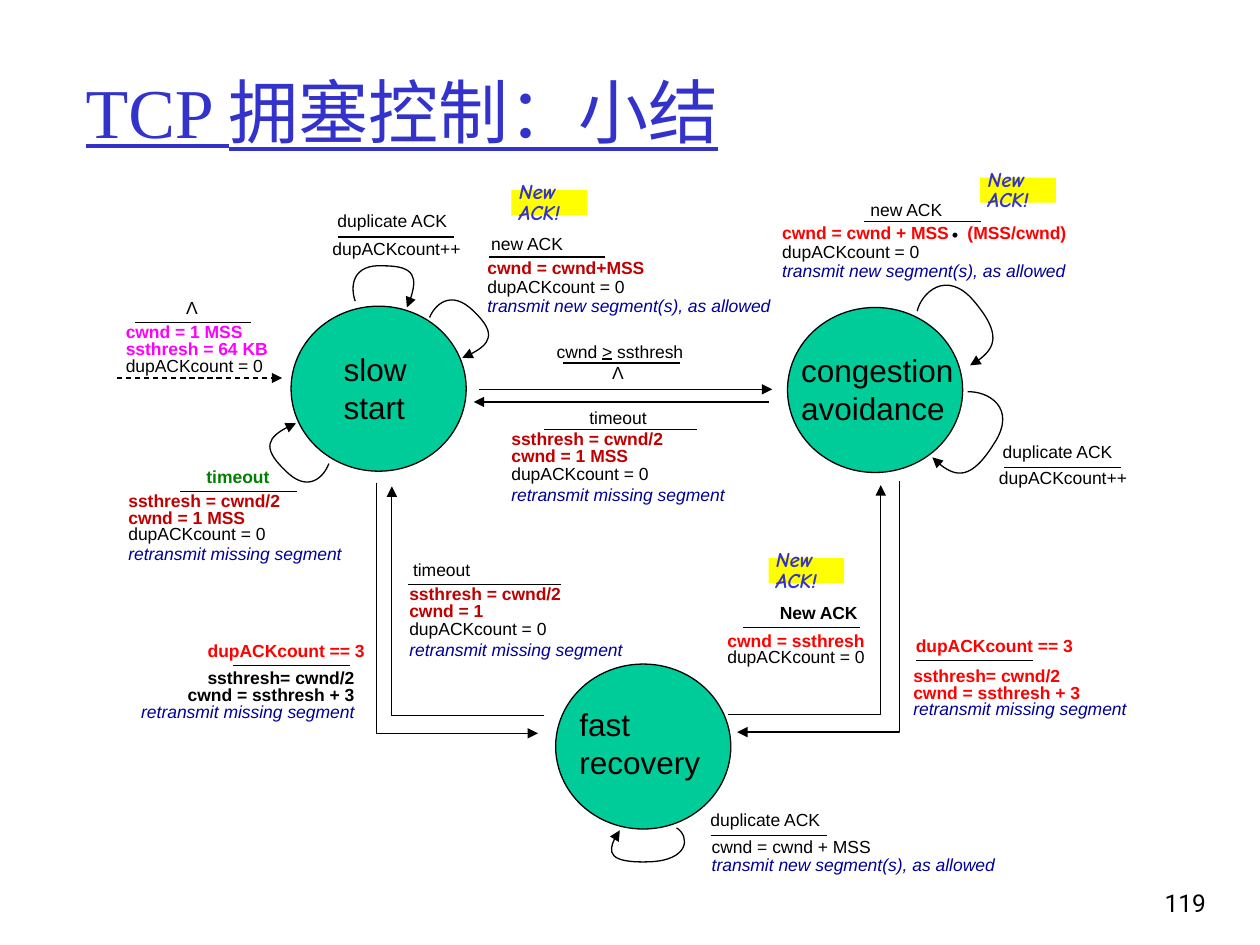
from pptx import Presentation
from pptx import util as u
from pptx.dml.color import RGBColor
from pptx.enum import dml, shapes, text
from pptx.oxml.xmlchemy import OxmlElement

BLACK = RGBColor(0, 0, 0)
RED = RGBColor(255, 0, 0)
DARK_RED = RGBColor(192, 0, 0)
NAVY = RGBColor(0, 0, 153)
BLUE = RGBColor(51, 51, 204)
GREEN = RGBColor(0, 128, 0)
TEAL = RGBColor(0, 204, 153)
MAGENTA = RGBColor(255, 0, 255)
YELLOW = RGBColor(255, 255, 0)

CELL = u.Inches(0.1)
STATE_SIZE = (13.9, 13.1)
SHORT_RULE, LONG_RULE = 9.25, 12.1
LEFT, RIGHT = text.PP_ALIGN.LEFT, text.PP_ALIGN.RIGHT

BODY = {"name": "Arial", "size": u.Pt(10), "bold": False, "italic": False}
STRONG = {**BODY, "bold": True}
SLANTED = {**BODY, "italic": True}
STATE = {**BODY, "size": u.Pt(18)}
DOT = {"name": "Times New Roman", "size": u.Pt(24)}
BADGE = {"name": "Comic Neue", "size": u.Pt(12), "bold": True, "italic": True}
NUMBER = {"name": "Roboto", "size": u.Pt(14)}
TITLE = {"name": "Times New Roman", "size": u.Pt(40), "underline": True}

RESET = ("dupACKcount = 0", BODY, BLACK)
TRANSMIT = ("transmit new segment(s), as allowed", SLANTED, NAVY)
RETRANSMIT = ("retransmit missing segment", SLANTED, NAVY)
HALVE = ("ssthresh = cwnd/2", STRONG, DARK_RED)
RESTART = ("cwnd = 1 MSS", STRONG, DARK_RED)
DUPLICATE = ("duplicate ACK", BODY, BLACK)
COUNT = ("dupACKcount++", BODY, BLACK)
NEW_ACK = ("new ACK", BODY, BLACK)
TIMEOUT = ("timeout", BODY, BLACK)
LAMBDA = ("Λ", BODY, BLACK)
TRIPLE = ("dupACKcount == 3", STRONG, RED)


def cells(*values):
    return [round(value * CELL) for value in values]


def shift(box, spot):
    return cells(box[0] + spot[0], box[1] + spot[1])


def format_font(font, style, colour):
    for key, value in style.items():
        setattr(font, key, value)
    font.color.rgb = colour


def add_label(page, box, spot, lines, spacing=None, align=LEFT, wrap=False, last_gap=0):
    frame = page.shapes.add_textbox(*shift(box, spot), *cells(*spot[2:])).text_frame
    frame.word_wrap = wrap
    for index, (words, style, colour) in enumerate(lines):
        para = frame.paragraphs[0] if index == 0 else frame.add_paragraph()
        para.alignment = align
        if spacing:
            para.line_spacing = spacing
        if last_gap and index == len(lines) - 1:
            para.space_before = u.Pt(last_gap)
        span = para.add_run()
        span.text = words
        format_font(span.font, style, colour)
    return frame


def style_line(item, arrow):
    item.line.color.rgb = BLACK
    item.line.width = u.Pt(0.75)
    if arrow:
        tail = OxmlElement("a:tailEnd")
        tail.set("type", "triangle")
        item._element.xpath(".//a:ln")[0].append(tail)


def add_line(page, box, start, end, arrow=False, dashed=False):
    line = page.shapes.add_connector(
        shapes.MSO_CONNECTOR.STRAIGHT, *shift(box, start), *shift(box, end))
    if dashed:
        line.line.dash_style = dml.MSO_LINE.DASH
    style_line(line, arrow)
    line._element.spPr.append(OxmlElement("a:effectLst"))


def add_rule(page, box, spot, length=SHORT_RULE):
    add_line(page, box, spot, (spot[0] + length, spot[1]))


def add_route(page, box, points, curved=False):
    start, *rest = [shift(box, point) for point in points]
    builder = page.shapes.build_freeform(*start)
    builder.add_line_segments(rest, close=False)
    route = builder.convert_to_shape()
    route.fill.background()
    route.shadow.inherit = False
    style_line(route, True)
    if curved:
        segments = route._element.xpath(".//a:lnTo")
        for first in range(0, len(segments), 3):
            curve = OxmlElement("a:cubicBezTo")
            segments[first].addprevious(curve)
            for segment in segments[first:first + 3]:
                curve.append(segment[0])
                segment.getparent().remove(segment)


def add_filled(page, box, kind, spot, size, colour):
    item = page.shapes.add_shape(kind, *shift(box, spot), *cells(*size))
    item.shadow.inherit = False
    item.fill.solid()
    item.fill.fore_color.rgb = colour
    return item


def add_state(page, box, spot, name_spot, names):
    circle = add_filled(page, box, shapes.MSO_SHAPE.OVAL, spot, STATE_SIZE, TEAL)
    style_line(circle, False)
    add_label(page, box, name_spot, [(name, STATE, BLACK) for name in names])


def add_transition(page, box, condition, condition_spot, rule, actions, actions_spot,
                   spacing=0.8, length=SHORT_RULE, **options):
    add_label(page, box, condition_spot, [condition])
    add_rule(page, box, rule, length)
    return add_label(page, box, actions_spot, actions, spacing, **options)


def draw_slow_start(page, box):
    add_state(page, box, (14.1, 10.3), (17.3, 13.3, 7.7, 7), ["slow", "start"])
    add_transition(page, box, ("timeout", STRONG, GREEN), (6.4, 22.5, 7.4, 2.7), (5.3, 25),
                   [HALVE, RESTART, RESET, RETRANSMIT], (0.2, 24.7, 18.9, 6.6), last_gap=1.5)
    add_transition(page, box, NEW_ACK, (29, 4, 7.8, 2.7), (29.8, 6.4),
                   [("cwnd = cwnd+MSS", STRONG, DARK_RED), RESET, TRANSMIT],
                   (28.7, 6.1, 24.7, 7.2), 0.9)
    add_transition(page, box, DUPLICATE, (16.8, 2.2, 10.8, 2.7), (17.8, 4.8),
                   [COUNT], (16.4, 4.7, 12.2, 3.9))
    add_transition(page, box, LAMBDA, (4.8, 9.1, 3, 2.7), (1.7, 11.6),
                   [("cwnd = 1 MSS", STRONG, MAGENTA), ("ssthresh = 64 KB", STRONG, MAGENTA),
                    RESET], (0, 11.3, 13.4, 5.1))
    add_line(page, box, (0.3, 16), (13.4, 16), arrow=True, dashed=True)
    for loop in (
        [(19.2, 9.9), (18.8, 8.8), (18.9, 6.9), (21.5, 7.1), (24, 7.1), (24.2, 8.4), (23.3, 10.4)],
        [(25.1, 11.2), (25.5, 10.2), (26.8, 8.9), (28.6, 10.7), (30.5, 12.5), (29.7, 13.6),
         (27.7, 14.4)],
        [(17.1, 22.8), (16.7, 23.9), (15.4, 25.2), (13.6, 23.3), (11.7, 21.5), (12.5, 20.4),
         (14.5, 19.6)],
    ):
        add_route(page, box, loop, curved=True)


def draw_congestion_avoidance(page, box):
    add_state(page, box, (1.5, 9.4), (1.6, 12.4, 14.1, 10), ["congestion", "avoidance"])
    frame = add_transition(page, box, NEW_ACK, (7.1, 0.3, 7.8, 2.7), (7.6, 2.6),
                           [("cwnd = cwnd + MSS\t(MSS/cwnd)", STRONG, RED), RESET, TRANSMIT],
                           (0.1, 2.3, 24.9, 7.2), 0.9)
    stops, stop = OxmlElement("a:tabLst"), OxmlElement("a:tab")
    stop.set("pos", str(u.Inches(1.47)))
    stop.set("algn", "l")
    stops.append(stop)
    frame.paragraphs[0]._p.get_or_add_pPr().append(stops)
    add_label(page, box, (13.4, 0, 2.8, 5), [(".", DOT, BLACK)])
    add_transition(page, box, DUPLICATE, (17.6, 19.5, 10.8, 2.7), (18.7, 22.1),
                   [COUNT], (17.3, 21.9, 12.2, 3.9))
    for loop in (
        [(11.8, 9.7), (12.1, 8.3), (14.1, 6.3), (16.3, 8.9), (18.5, 11.5), (17.9, 13), (16, 14)],
        [(15.8, 16.1), (17.3, 16), (19.8, 17.3), (17.9, 20.2), (16.1, 23.1), (14.5, 22.9),
         (13, 21.3)],
    ):
        add_route(page, box, loop, curved=True)


def draw_fast_recovery(page, box):
    add_state(page, box, (0.1, 0.7), (1, 3.5, 12.3, 10), ["fast", "recovery"])
    add_transition(page, box, DUPLICATE, (11.4, 11.7, 10.8, 2.7), (12.4, 14.3),
                   [("cwnd = cwnd + MSS", BODY, BLACK), TRANSMIT], (11.5, 14.1, 24.5, 5.5), 0.85)
    add_route(page, box, [(9.7, 13.7), (10.8, 14.4), (10.7, 16.3), (7.5, 16.4), (4.2, 16.5),
                          (4.2, 15.2), (5.2, 13.9)], curved=True)


def draw_slow_to_congestion(page, box):
    add_line(page, box, (1, 4.9), (24.3, 4.9), arrow=True)
    add_line(page, box, (24, 5.9), (0.6, 5.9), arrow=True)
    add_transition(page, box, ("cwnd > ssthresh", BODY, BLACK), (6.2, 0.6, 12.3, 2.7), (7.7, 2.8),
                   [LAMBDA], (10.6, 2.6, 3, 2.3))
    add_rule(page, box, (10.8, 2.5), 0.8)
    add_transition(page, box, TIMEOUT, (8.8, 5.8, 7.4, 2.7), (6.2, 8.1),
                   [HALVE, RESTART, RESET, RETRANSMIT], (2.6, 7.7, 18.9, 7), 0.85, LONG_RULE,
                   last_gap=1.5)


def draw_slow_to_fast(page, box):
    add_transition(page, box, TRIPLE, (5.5, 12.3, 14.7, 2.7), (8.5, 14.8),
                   [("ssthresh= cwnd/2", STRONG, BLACK), ("cwnd = ssthresh + 3", STRONG, BLACK),
                    RETRANSMIT], (0.2, 14.8, 18.9, 6.6), align=RIGHT)
    add_transition(page, box, TIMEOUT, (21.8, 5.9, 7.4, 2.7), (22.4, 8.4),
                   [HALVE, ("cwnd = 1", STRONG, DARK_RED), RESET, RETRANSMIT],
                   (21.5, 8, 18.9, 7), 0.85, LONG_RULE, last_gap=1.5)
    add_route(page, box, [(19.9, 0.3), (19.9, 20.2), (32.7, 20.2)])
    add_route(page, box, [(33.2, 18.8), (21.1, 18.8), (21.1, 0.6)])


def draw_congestion_to_fast(page, box):
    add_transition(page, box, TRIPLE, (15.7, 11.9, 14.7, 2.7), (16.7, 14.4),
                   [("ssthresh= cwnd/2", STRONG, RED), ("cwnd = ssthresh + 3", STRONG, RED),
                    RETRANSMIT], (15.5, 14.6, 18.9, 6.6))
    add_transition(page, box, ("New ACK", STRONG, BLACK), (4.9, 9.3, 8.5, 2.7), (3, 11.8),
                   [("cwnd = ssthresh", STRONG, RED), RESET], (0.6, 11.8, 13, 6.7), align=RIGHT)
    add_route(page, box, [(15.4, 0.2), (15.4, 20.1), (2.5, 20.1)])
    add_route(page, box, [(1.8, 18.7), (13.9, 18.7), (13.9, 0.5)])


def draw_badge(page, box):
    patch = add_filled(page, box, shapes.MSO_SHAPE.RECTANGLE, (0, 0), (6, 2), YELLOW)
    patch.line.fill.background()
    add_label(page, box, (-0.4, -1, 6.9, 4.2),
              [(word, BADGE, BLUE) for word in ("New", "ACK!")], 0.8, wrap=True)


def draw_title(page, box):
    title = page.shapes.title
    title.left, title.top, title.width, title.height = cells(*box)
    title.text_frame.vertical_anchor = text.MSO_ANCHOR.MIDDLE
    para = title.text_frame.paragraphs[0]
    para.alignment = LEFT
    span = para.add_run()
    span.text = "TCP 拥塞控制：小结"
    format_font(span.font, TITLE, BLUE)


def main():
    deck = Presentation()
    deck.slide_width, deck.slide_height = cells(100, 75)
    page = deck.slides.add_slide(deck.slide_layouts[5])
    draw_title(page, (5.8, 2.5, 85, 12.5))
    draw_slow_to_congestion(page, (37, 26))
    draw_congestion_avoidance(page, (61, 15))
    draw_fast_recovery(page, (44, 52))
    draw_slow_to_fast(page, (10, 38))
    draw_congestion_to_fast(page, (56, 38))
    draw_slow_start(page, (9, 14))
    for box in ((61, 44.3), (40.6, 15.1), (77.8, 14.1)):
        draw_badge(page, box)
    add_label(page, (89.3, 70), (0, 0, 7.4, 5), [("119", NUMBER, BLACK)], align=RIGHT, wrap=True)
    deck.save("out.pptx")


if __name__ == "__main__":
    main()
